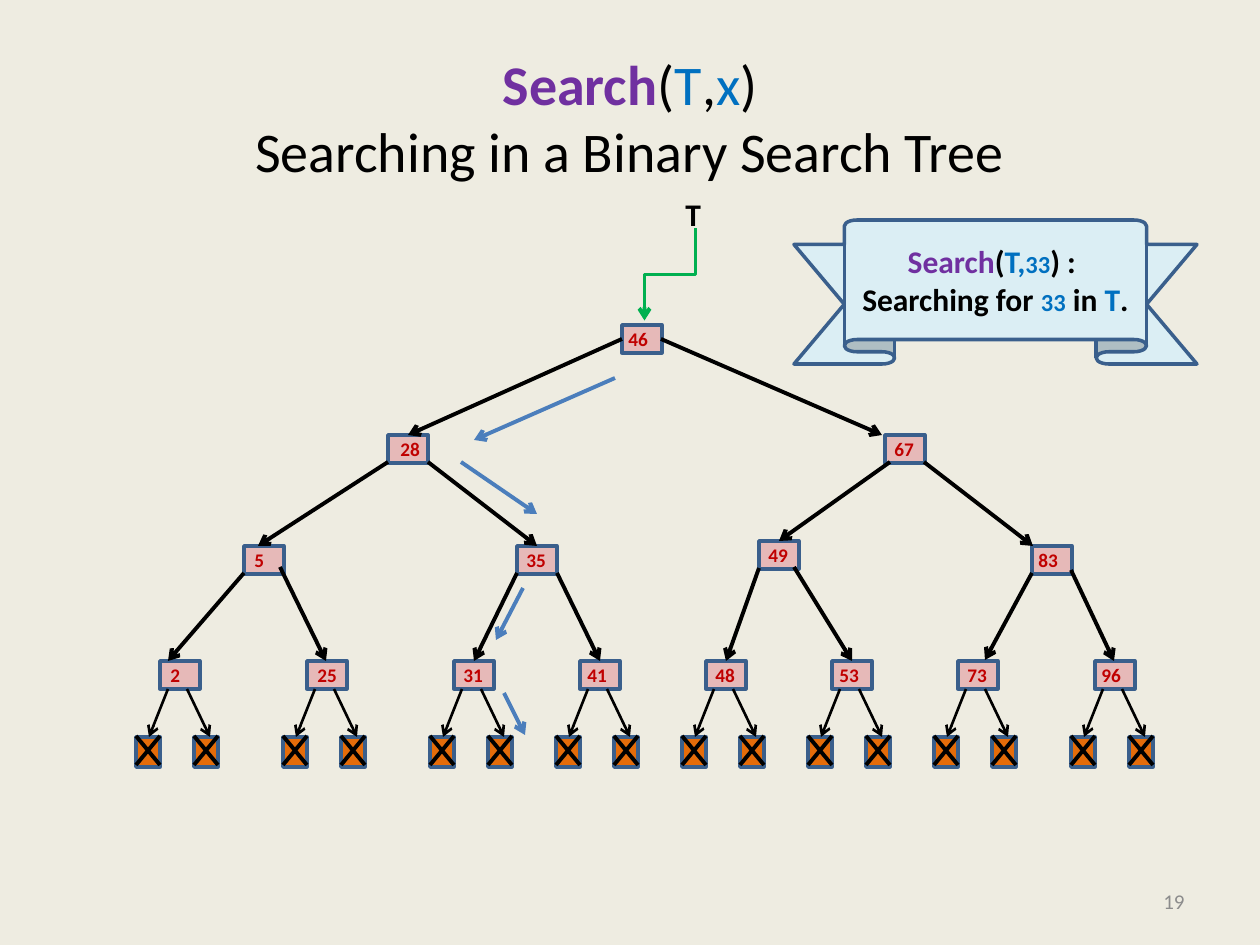
import copy
import lxml.etree
import pptx
import pptx.util
import pptx.dml.color
import pptx.enum.shapes
import pptx.enum.text
import pptx.oxml.ns

Pt = pptx.util.Pt
RGB = pptx.dml.color.RGBColor.from_string
qn = pptx.oxml.ns.qn
Kind = pptx.enum.shapes.MSO_SHAPE
Link = pptx.enum.shapes.MSO_CONNECTOR
Align = pptx.enum.text.PP_ALIGN
Anchor = pptx.enum.text.MSO_ANCHOR


class Theme:
    font = "Calibri"
    back, node, leaf, scroll = "EEECE1", "E6B9B8", "E46C0A", "DBEEF4"
    edge, ink, trail, root = "3A5F8C", "000000", "4B7EBC", "00B050"
    name, arg, key, foot = "7030A0", "0070C0", "C00000", "8C8C8C"
    head, body, small, page, value = 32, 18, 14, 12, 11
    rim, bold, thin = 2, 2.25, 1.5


def px(*nums):
    return [round(num * 914400 / 126) for num in nums]


def write(para, runs, align=Align.LEFT):
    para.alignment = align
    for text, size, color, bold in runs:
        run = para.add_run()
        run.text = text
        run.font.name = Theme.font
        run.font.size = Pt(size)
        run.font.bold = bold
        run.font.color.rgb = RGB(color)


deck = pptx.Presentation()
deck.slide_width, deck.slide_height = px(1260, 945)
slide = deck.slides.add_slide(deck.slide_layouts[5])
slide.background.fill.solid()
slide.background.fill.fore_color.rgb = RGB(Theme.back)

title = slide.shapes.title
title.left, title.top, title.width, title.height = px(63, 38, 1134, 158)
title.text_frame.vertical_anchor = Anchor.MIDDLE
para = title.text_frame.paragraphs[0]
write(para, [
    ("Search", Theme.head, Theme.name, True),
    ("(", Theme.head, Theme.ink, False),
    ("T", Theme.head, Theme.arg, False),
    (",", Theme.head, Theme.ink, False),
    ("x", Theme.head, Theme.arg, False),
    (")", Theme.head, Theme.ink, False),
], Align.CENTER)
para.add_line_break()
write(para, [("Searching in a Binary Search Tree", Theme.head, Theme.ink, False)],
      Align.CENTER)
gap = next(title.element.iter(qn("a:br")))
gap.append(copy.deepcopy(next(title.element.iter(qn("a:rPr")))))

wide, tall = 40, 28
low = 661
nodes = [
    ("46", 622, 325, -6), ("28", 388, 435, 0), ("67", 885, 435, -3),
    ("5", 244, 546, -2), ("35", 517, 546, -3), ("49", 759, 541, -3),
    ("83", 1032, 546, -6),
    ("2", 160, low, -2), ("25", 307, low, -2), ("31", 454, low, -3),
    ("41", 580, low, -5), ("48", 706, low, -3), ("53", 832, low, -5),
    ("73", 958, low, -3), ("96", 1095, low, -6),
]
edges = [
    (622, 339, 408, 435), (661, 339, 882, 435),
    (388, 462, 258, 546), (428, 462, 537, 546),
    (890, 462, 779, 541), (924, 462, 1033, 546),
    (244, 573, 168, 661), (280, 567, 326, 661),
    (517, 573, 474, 661), (557, 573, 600, 661),
    (759, 568, 726, 661), (794, 567, 852, 661),
    (1032, 573, 985, 660), (1071, 570, 1114, 661),
]
steps = [
    (615, 378, 474, 440), (461, 462, 537, 514),
    (523, 588, 496, 640), (504, 693, 525, 735),
]

boxes = [(Kind.RECTANGLE, (x, y, wide, tall), Theme.node) for _, x, y, _ in nodes]
lines = [(ends, Theme.ink, Theme.bold, True) for ends in edges]
for _, x, y, _ in nodes:
    if y != low:
        continue
    for side, start, stop in ((-24, 8, -11), (34, 27, 50)):
        left, right = x + side, x + side + 24
        boxes.append((Kind.RECTANGLE, (left, 737, 24, 30), Theme.leaf))
        lines += [
            ((right, 736, left, 765), Theme.ink, Theme.bold, False),
            ((left, 736, right, 765), Theme.ink, Theme.bold, False),
            ((x + start, low + tall, x + stop, 737), Theme.ink, Theme.thin, True),
        ]
lines += [(ends, Theme.trail, Theme.bold, True) for ends in steps]
lines.append(((624, 249, 716, 300), Theme.root, Theme.bold, True))
boxes.append((Kind.UP_RIBBON, (794, 220, 403, 144), Theme.scroll))

for kind, place, fill in boxes:
    box = slide.shapes.add_shape(kind, *px(*place))
    box.shadow.inherit = False
    box.fill.solid()
    box.fill.fore_color.rgb = RGB(fill)
    box.line.color.rgb = RGB(Theme.edge)
    box.line.width = Pt(Theme.rim)

box.adjustments[0], box.adjustments[1] = 0.17, 0.75
frame = box.text_frame
frame.word_wrap = True
frame.vertical_anchor = Anchor.MIDDLE
write(frame.paragraphs[0], [
    ("Search", Theme.body, Theme.name, True),
    ("(", Theme.body, Theme.ink, True),
    ("T,", Theme.body, Theme.arg, True),
    ("33", Theme.small, Theme.arg, True),
    (") : ", Theme.body, Theme.ink, True),
], Align.CENTER)
write(frame.add_paragraph(), [
    ("Searching for ", Theme.body, Theme.ink, True),
    ("33", Theme.small, Theme.arg, True),
    (" in ", Theme.body, Theme.ink, True),
    ("T", Theme.body, Theme.arg, True),
    (".", Theme.body, Theme.ink, True),
], Align.CENTER)

for ends, color, width, arrow in lines:
    bent = color == Theme.root
    line = slide.shapes.add_connector(Link.ELBOW if bent else Link.STRAIGHT, *px(*ends))
    line.line.color.rgb = RGB(color)
    line.line.width = Pt(width)
    form = line.element.spPr
    if arrow:
        lxml.etree.SubElement(form.find(qn("a:ln")), qn("a:tailEnd"), type="arrow")
    lxml.etree.SubElement(form, qn("a:effectLst"))
    if bent:
        form.find(qn("a:xfrm")).set("rot", "5400000")

notes = [
    (text, (x + shift, y - 4, 25 + 10 * len(text), 36), Theme.value, Theme.key)
    for text, x, y, shift in nodes
]
notes.append(("T", (673, 189, 40, 50), Theme.body, Theme.ink))
for text, place, size, color in notes:
    note = slide.shapes.add_textbox(*px(*place))
    note.text_frame.word_wrap = False
    write(note.text_frame.paragraphs[0], [(text, size, color, True)])

foot = slide.shapes.add_textbox(*px(903, 876, 294, 50))
foot.text_frame.word_wrap = True
foot.text_frame.vertical_anchor = Anchor.MIDDLE
write(foot.text_frame.paragraphs[0], [("19", Theme.page, Theme.foot, False)], Align.RIGHT)

deck.save("out.pptx")
